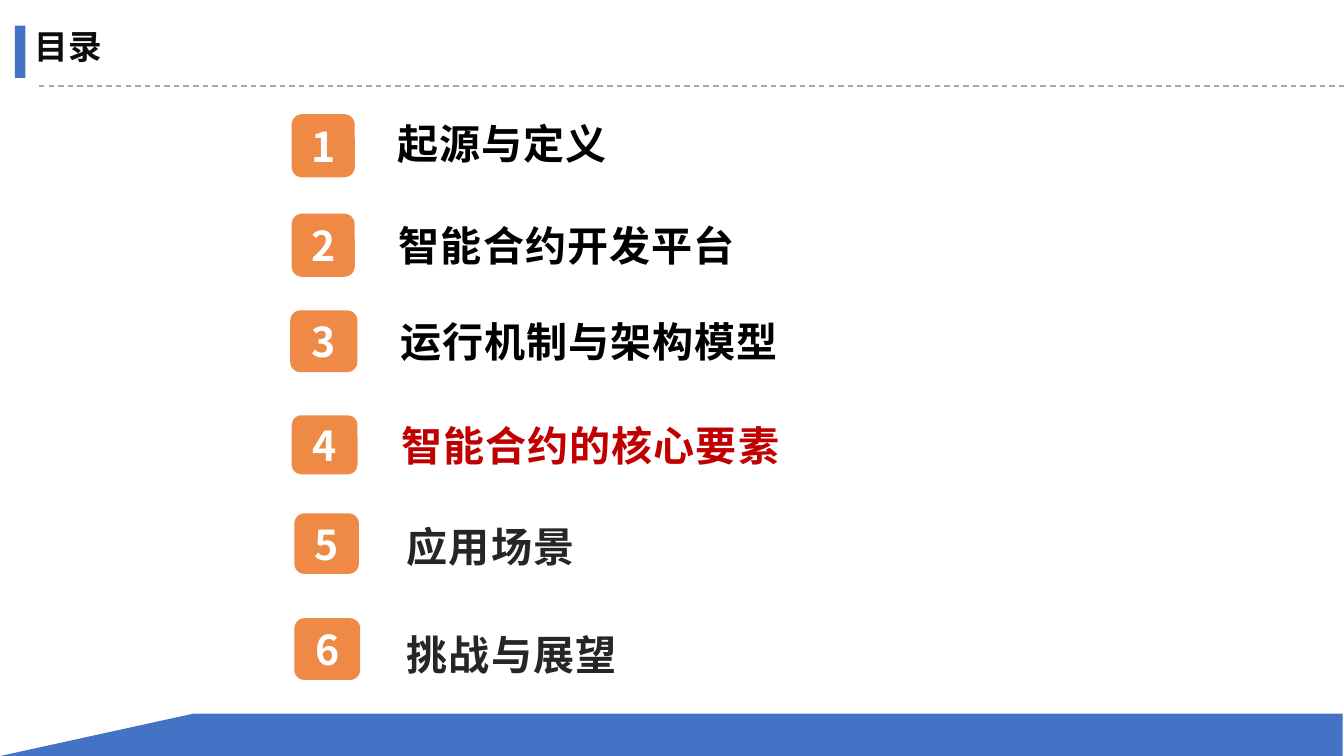
"""Build the contents slide of a talk on smart contracts."""
from lxml import etree
from pptx import Presentation
from pptx.dml.color import RGBColor
from pptx.enum.dml import MSO_LINE
from pptx.enum.shapes import MSO_CONNECTOR, MSO_SHAPE
from pptx.enum.text import MSO_ANCHOR, MSO_AUTO_SIZE, PP_ALIGN
from pptx.oxml.ns import qn
from pptx.util import Inches, Pt

LEFT, CENTER, JUSTIFY = PP_ALIGN.LEFT, PP_ALIGN.CENTER, PP_ALIGN.JUSTIFY
SANS, SERIF = "Noto Sans CJK SC", "Times New Roman"
BLUE, ORANGE, GREY = "4472C4", "EF8A46", "A6A6A6"
WHITE, BLACK, RED, DARK, TITLE_INK = "FFFFFF", "000000", "C00000", "262626", "0D0D0D"

TITLE = "目录"
ITEMS = [
    ("起源与定义", BLACK, LEFT, (2.17, 0.85, 0.47, 0.47), (2.86, 0.83, 5.35)),
    ("智能合约开发平台", BLACK, JUSTIFY, (2.17, 1.59, 0.47, 0.47), (2.87, 1.59, 5)),
    ("运行机制与架构模型", BLACK, JUSTIFY, (2.16, 2.31, 0.5, 0.46), (2.88, 2.3, 5.34)),
    ("智能合约的核心要素", RED, JUSTIFY, (2.17, 3.09, 0.49, 0.44), (2.89, 3.08, 4.97)),
    ("应用场景", DARK, JUSTIFY, (2.19, 3.82, 0.48, 0.45), (2.93, 3.83, 5.43)),
    ("挑战与展望", DARK, JUSTIFY, (2.19, 4.6, 0.49, 0.46), (2.93, 4.63, 5.43)),
]
LABEL_HEIGHT = 0.47
BAND = [(-0.02, 5.63), (1.44, 5.31), (9.99, 5.31), (9.99, 5.63)]


def color(value):
    return RGBColor.from_string(value)


def inches(values):
    return [Inches(value) for value in values]


def write(shape, text, size=22, ink=BLACK, font=SANS, align=LEFT, spacing=0):
    frame = shape.text_frame
    frame.word_wrap = True
    frame.auto_size = MSO_AUTO_SIZE.NONE
    frame.vertical_anchor = MSO_ANCHOR.MIDDLE
    frame.margin_top = frame.margin_bottom = 0
    para = frame.paragraphs[0]
    para.alignment = align
    span = para.add_run()
    span.text = text
    span.font.size = Pt(size)
    span.font.bold = True
    span.font.color.rgb = color(ink)
    span.font.name = font
    properties = span.font._element
    etree.SubElement(properties, qn("a:ea")).set("typeface", SANS)
    if spacing:
        properties.set("spc", str(round(spacing * 100)))


def paint(shape, fill):
    shape.shadow.inherit = False
    shape.fill.solid()
    shape.fill.fore_color.rgb = color(fill)
    shape.line.fill.background()


def add_header(page):
    title = page.shapes.title
    title.left, title.top, title.width, title.height = inches((0.16, 0.14, 9.52, 0.4))
    write(title, TITLE, size=18, ink=TITLE_INK, font=SERIF)
    rule = page.shapes.add_connector(
        MSO_CONNECTOR.STRAIGHT, *inches((0.29, 0.64, 10, 0.64)))
    rule.line.color.rgb = color(GREY)
    rule.line.width = Pt(0.75)
    rule.line.dash_style = MSO_LINE.DASH
    etree.SubElement(rule._element.spPr, qn("a:effectLst"))
    marker = page.shapes.add_shape(MSO_SHAPE.RECTANGLE, *inches((0.11, 0.19, 0.08, 0.39)))
    paint(marker, BLUE)


def add_band(page):
    start, *corners = [inches(point) for point in BAND]
    builder = page.shapes.build_freeform(*start)
    builder.add_line_segments(corners, close=True)
    paint(builder.convert_to_shape(), BLUE)


def add_item(page, number, text, ink, align, badge_place, label_place):
    badge = page.shapes.add_shape(MSO_SHAPE.ROUNDED_RECTANGLE, *inches(badge_place))
    paint(badge, ORANGE)
    write(badge, str(number), ink=WHITE, align=CENTER)
    label = page.shapes.add_textbox(*inches((*label_place, LABEL_HEIGHT)))
    write(label, text, ink=ink, align=align, spacing=0.6)


def main():
    deck = Presentation()
    deck.slide_width = Inches(10)
    deck.slide_height = deck.slide_width * 9 // 16
    page = deck.slides.add_slide(deck.slide_layouts[5])
    add_header(page)
    add_band(page)
    for number, item in enumerate(ITEMS, start=1):
        add_item(page, number, *item)
    deck.save("out.pptx")


if __name__ == "__main__":
    main()
